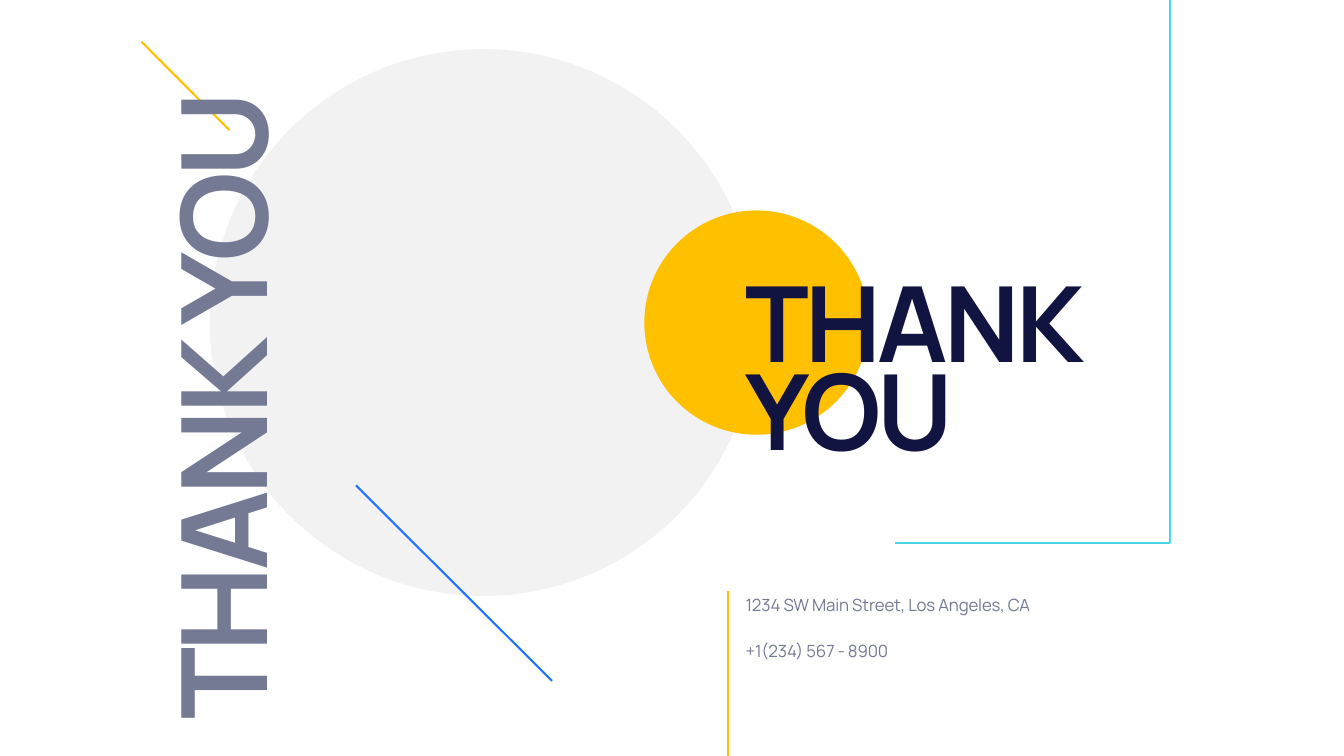
import pptx
import pptx.util
import lxml.etree
from pptx.dml.color import RGBColor
from pptx.enum.shapes import MSO_CONNECTOR, MSO_SHAPE
from pptx.enum.text import MSO_ANCHOR, MSO_AUTO_SIZE, PP_ALIGN
from pptx.oxml.ns import qn

Pt = pptx.util.Pt

WHITE = RGBColor(0xFF, 0xFF, 0xFF)
PALE = RGBColor(0xF2, 0xF2, 0xF2)
AMBER = RGBColor(0xFF, 0xC0, 0x00)
AQUA = RGBColor(0x4B, 0xD6, 0xE5)
BLUE = RGBColor(0x20, 0x75, 0xFD)
NAVY = RGBColor(0x11, 0x13, 0x40)
SLATE = RGBColor(0x74, 0x79, 0x94)

WIDTH, HEIGHT = 1919.52, 1080
STROKE = 3
TEXT_LEFT = 1057.68

HEADLINE = {"size": Pt(150), "bold": True, "name": "Manrope"}
CONTACT = {"size": Pt(24), "name": "Manrope"}
BANNER = {"size": Pt(170), "bold": True, "name": "Manrope"}


def apply(target, values):
    """Set every attribute of the dict on the target."""
    for attribute, value in values.items():
        setattr(target, attribute, value)


def add_disc(slide, center_x, center_y, diameter, color):
    """Draw a filled circle around a centre point."""
    disc = slide.shapes.add_shape(
        MSO_SHAPE.OVAL, Pt(center_x - diameter / 2), Pt(center_y - diameter / 2),
        Pt(diameter), Pt(diameter))
    disc.shadow.inherit = False
    disc.fill.solid()
    disc.fill.fore_color.rgb = color
    disc.line.fill.background()


def add_stroke(slide, start, end, color):
    """Draw a straight line between two points."""
    stroke = slide.shapes.add_connector(
        MSO_CONNECTOR.STRAIGHT, *(Pt(value) for value in start + end))
    stroke.line.color.rgb = color
    stroke.line.width = Pt(STROKE)
    lxml.etree.SubElement(stroke._element.spPr, qn("a:effectLst"))


def add_corner(slide, points, color):
    """Draw an open, unfilled line through the points."""
    start, *others = [(Pt(x), Pt(y)) for x, y in points]
    builder = slide.shapes.build_freeform(*start)
    builder.add_line_segments(others, close=False)
    corner = builder.convert_to_shape()
    corner.shadow.inherit = False
    corner.fill.background()
    corner.line.color.rgb = color
    corner.line.width = Pt(STROKE)


def outline_text(run, color, width):
    """Show the letters of a run by their outline colour alone."""
    run.font.fill.background()
    outline = lxml.etree.Element(qn("a:ln"), w=str(Pt(width)))
    fill = lxml.etree.SubElement(outline, qn("a:solidFill"))
    lxml.etree.SubElement(fill, qn("a:srgbClr"), val=str(color))
    run.font._element.insert(0, outline)


def add_text(slide, box, lines, font, spacing, color=None, paragraph_format=None):
    """Add a text box with one paragraph per line; return it and its runs."""
    text_box = slide.shapes.add_textbox(*(Pt(value) for value in box))
    frame = text_box.text_frame
    apply(frame, {"word_wrap": True, "auto_size": MSO_AUTO_SIZE.SHAPE_TO_FIT_TEXT})
    runs = []
    for index, line in enumerate(lines):
        paragraph = frame.add_paragraph() if index else frame.paragraphs[0]
        apply(paragraph, paragraph_format or {})
        run = paragraph.add_run()
        run.text = line
        apply(run.font, font)
        run.font._element.set("spc", str(round(spacing * 100)))
        if color is not None:
            run.font.color.rgb = color
        runs.append(run)
    return text_box, runs


def add_banner(slide):
    """Add the large words that run up the left side."""
    banner, runs = add_text(
        slide, (-182.16, 473.04, 991.44, 213.12), ["THANK YOU"], BANNER, -6.5,
        paragraph_format={"alignment": PP_ALIGN.CENTER})
    banner.rotation = 270
    banner.text_frame.vertical_anchor = MSO_ANCHOR.BOTTOM
    outline_text(runs[0], SLATE, 1)


def main():
    """Build the closing slide."""
    deck = pptx.Presentation()
    apply(deck, {"slide_width": Pt(WIDTH), "slide_height": Pt(HEIGHT)})
    slide = deck.slides.add_slide(deck.slide_layouts[6])
    slide.background.fill.solid()
    slide.background.fill.fore_color.rgb = WHITE

    add_disc(slide, 690.3, 460.8, 781.2, PALE)
    add_disc(slide, 1080.4, 460.8, 320.4, AMBER)
    add_corner(slide, [(1670.7, 0), (1670.7, 776.2), (1278.7, 776.2)], AQUA)
    add_stroke(slide, (202.3, 59.8), (327.6, 185.8), AMBER)
    add_stroke(slide, (508.3, 693.4), (788.4, 972.7), BLUE)
    add_stroke(slide, (1039.7, 843.8), (1039.7, HEIGHT), AMBER)

    add_text(slide, (TEXT_LEFT, 419.76, 563.76, 272.16), ["THANK", "YOU"],
             HEADLINE, -5, NAVY, {"line_spacing": Pt(125)})
    contacts = ["1234 SW Main Street, Los Angeles, CA", "+1(234) 567 - 8900"]
    for row, contact in enumerate(contacts):
        add_text(slide, (TEXT_LEFT, 838.8 + row * 65.5, 478.08, 41.76), [contact],
                 CONTACT, -0.2, SLATE, {"line_spacing": Pt(36)})
    add_banner(slide)

    deck.save("out.pptx")


main()
